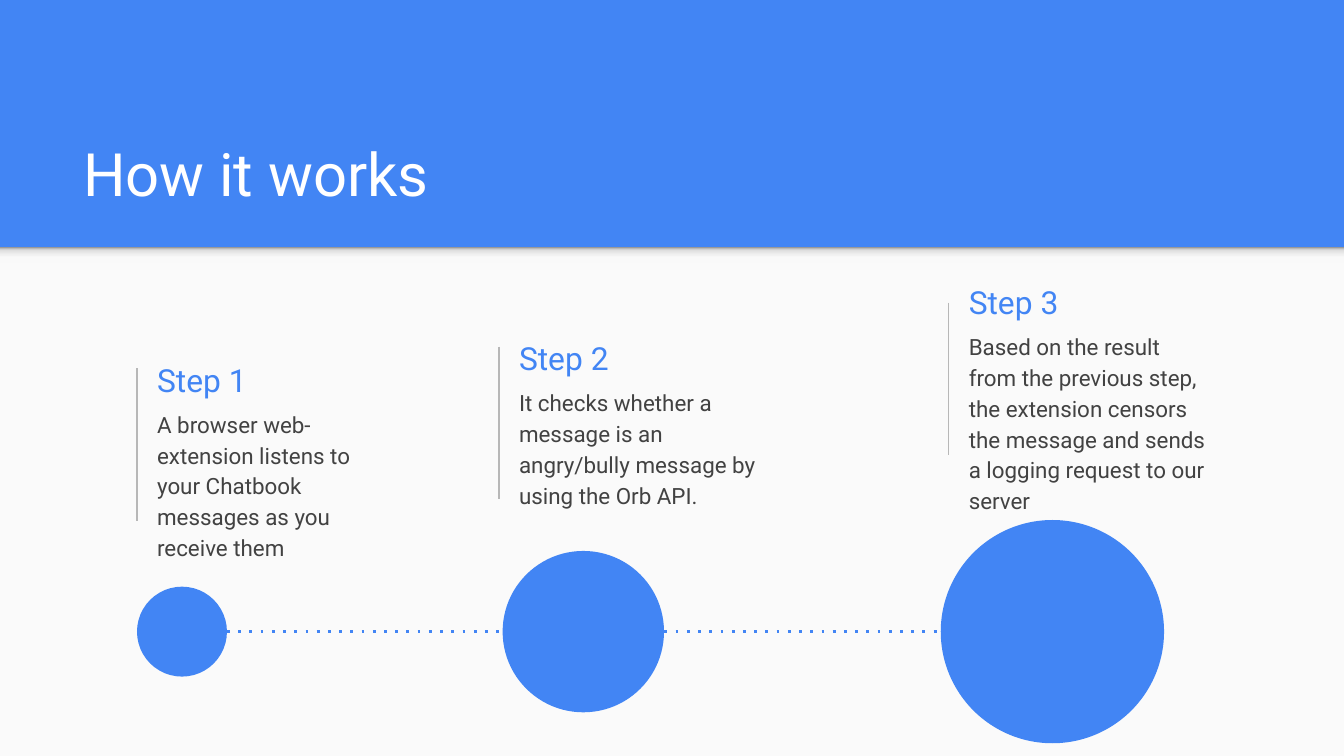
from lxml import etree
from pptx import Presentation
from pptx.dml.color import RGBColor
from pptx.enum.shapes import MSO_CONNECTOR, MSO_SHAPE
from pptx.enum.text import MSO_ANCHOR
from pptx.oxml import parse_xml
from pptx.oxml.ns import nsdecls, qn
from pptx.util import Cm, Pt

RECTANGLE, OVAL = MSO_SHAPE.RECTANGLE, MSO_SHAPE.OVAL
STRAIGHT = MSO_CONNECTOR.STRAIGHT
TOP, MIDDLE, BOTTOM = MSO_ANCHOR.TOP, MSO_ANCHOR.MIDDLE, MSO_ANCHOR.BOTTOM

# Content: positions and diameters in centimetres
TITLE = "How it works"
STEPS = [
    {"heading": "Step 1",
     "body": "A browser web-extension listens to your Chatbook messages as you receive them",
     "rule": (2.59, 6.96), "heading_top": 6.63, "circle": (2.59, 1.7)},
    {"heading": "Step 2",
     "body": "It checks whether a message is an angry/bully message by using the Orb API.",
     "rule": (9.43, 6.55), "heading_top": 6.22, "circle": (9.5, 3.05)},
    {"heading": "Step 3",
     "body": "Based on the result from the previous step, the extension censors "
             "the message and sends a logging request to our server",
     "rule": (17.93, 5.72), "heading_top": 5.16, "circle": (17.78, 4.22)},
]

THEME = {
    "font": "Roboto",
    "blue": "4285F4", "paper": "FAFAFA", "white": "FFFFFF",
    "text": "424242", "rule": "B7B7B7",
    "shadow": [(0, "F9F9F9"), (36, "F9F9F9"), (80, "DEDEDE"), (100, "999999")],
    "title_size": 32, "heading_size": 17, "body_size": 12,
}

# Layout in centimetres
WIDTH, HEIGHT = 25.4, 14.29
BANNER_HEIGHT = 4.67
SHADOW_HEIGHT = 0.3
TEXT_WIDTH, HEADING_HEIGHT, BODY_HEIGHT = 5.03, 1.09, 1.6
TEXT_GAP, BODY_OFFSET = 0.13, 0.81
RULE_HEIGHT = 2.88
CIRCLE_MIDDLE = 11.94
INSET = 0.25


def color(name):
    return RGBColor.from_string(THEME[name])


def add_block(slide, kind, left, top, width, height, fill):
    shape = slide.shapes.add_shape(kind, Cm(left), Cm(top), Cm(width), Cm(height))
    shape.shadow.inherit = False
    shape.line.fill.background()
    shape.fill.solid()
    shape.fill.fore_color.rgb = color(fill)
    return shape


def add_line(slide, start, end, line_color, width, dash=None):
    connector = slide.shapes.add_connector(STRAIGHT, *map(Cm, start + end))
    connector.line.color.rgb = color(line_color)
    connector.line.width = Pt(width)
    if dash:
        etree.SubElement(connector.line._get_or_add_ln(), qn("a:prstDash"), val=dash)
    etree.SubElement(connector._element.spPr, qn("a:effectLst"))


def add_text(slide, text, left, top, width, height, size, text_color, anchor):
    box = slide.shapes.add_textbox(Cm(left), Cm(top), Cm(width), Cm(height))
    frame = box.text_frame
    frame.word_wrap = True
    frame.vertical_anchor = anchor
    frame.margin_left = frame.margin_right = Cm(INSET)
    frame.margin_top = frame.margin_bottom = Cm(INSET)
    paragraph = frame.paragraphs[0]
    paragraph.text = text
    paragraph.font.name = THEME["font"]
    paragraph.font.size = Pt(THEME[size])
    paragraph.font.color.rgb = color(text_color)
    return paragraph


def add_banner(slide):
    slide.background.fill.solid()
    slide.background.fill.fore_color.rgb = color("blue")
    add_block(slide, RECTANGLE, 0, BANNER_HEIGHT, WIDTH, HEIGHT - BANNER_HEIGHT, "paper")

    # Soft shadow under the banner, darkest at its top edge
    shadow = add_block(slide, RECTANGLE, 0, BANNER_HEIGHT, WIDTH, SHADOW_HEIGHT, "paper")
    stops = "".join(f'<a:gs pos="{position * 1000}"><a:srgbClr val="{value}"/></a:gs>'
                    for position, value in THEME["shadow"])
    gradient = parse_xml(f'<a:gradFill {nsdecls("a")}><a:gsLst>{stops}</a:gsLst>'
                         '<a:lin ang="16200000" scaled="0"/></a:gradFill>')
    properties = shadow._element.spPr
    properties.replace(properties.find(qn("a:solidFill")), gradient)

    add_text(slide, TITLE, 1.32, 2.06, 22.83, 2.13, "title_size", "white", BOTTOM)


def add_step(slide, step):
    left, top = step["rule"]
    add_line(slide, (left, top), (left, top + RULE_HEIGHT), "rule", 0.75)
    text_left, heading_top = left + TEXT_GAP, step["heading_top"]
    add_text(slide, step["heading"], text_left, heading_top, TEXT_WIDTH,
             HEADING_HEIGHT, "heading_size", "blue", MIDDLE)
    body = add_text(slide, step["body"], text_left, heading_top + BODY_OFFSET,
                    TEXT_WIDTH, BODY_HEIGHT, "body_size", "text", TOP)
    body.line_spacing = 1.15
    body.space_after = Pt(16)


def add_timeline(slide):
    circles = [step["circle"] for step in STEPS]
    start, end = sum(circles[0]), circles[-1][0]
    add_line(slide, (start, CIRCLE_MIDDLE), (end, CIRCLE_MIDDLE), "blue", 1.5, "dot")
    for left, diameter in circles:
        add_block(slide, OVAL, left, CIRCLE_MIDDLE - diameter / 2,
                  diameter, diameter, "blue")


def main():
    presentation = Presentation()
    presentation.slide_width, presentation.slide_height = Cm(WIDTH), Cm(HEIGHT)
    slide = presentation.slides.add_slide(presentation.slide_layouts[6])
    add_banner(slide)
    for step in STEPS:
        add_step(slide, step)
    add_timeline(slide)
    presentation.save("out.pptx")


if __name__ == "__main__":
    main()
